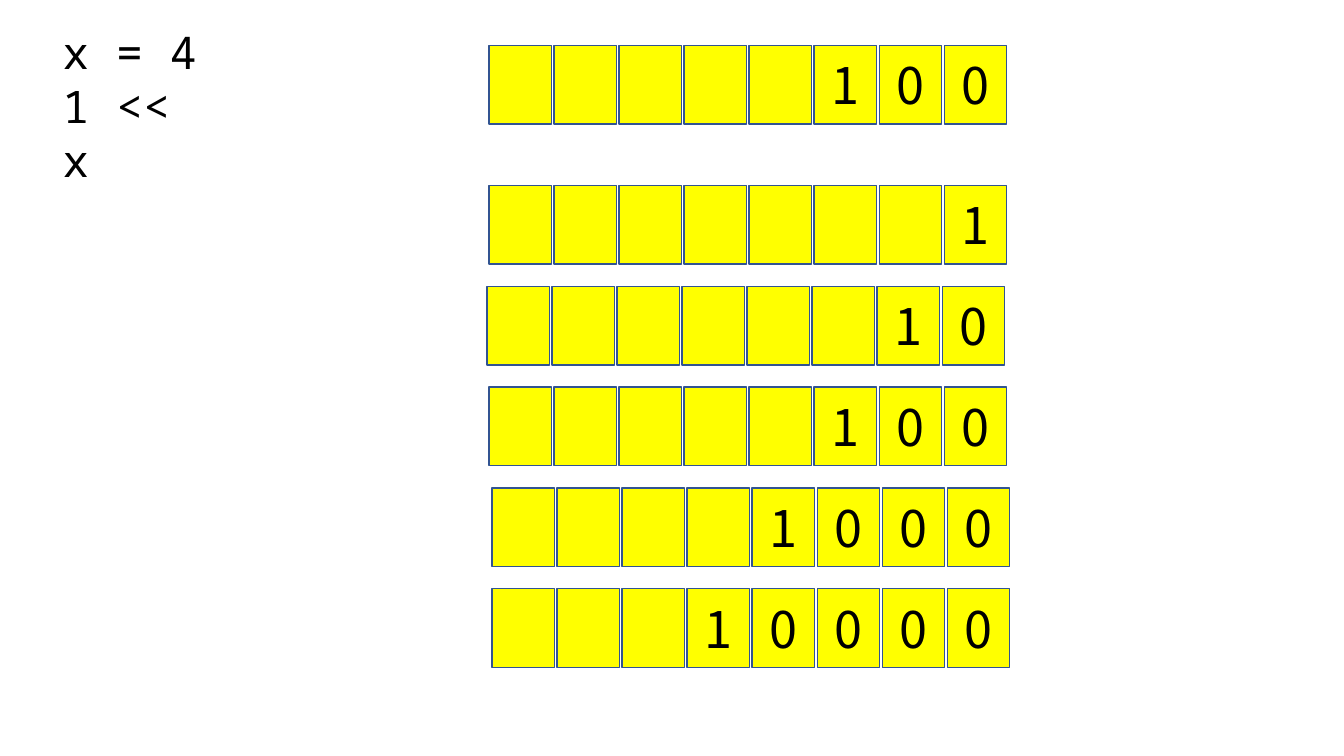
from dataclasses import dataclass

from pptx import Presentation
from pptx import util as u
from pptx.dml.color import RGBColor
from pptx.enum import shapes, text
from pptx.slide import Slide

YELLOW = RGBColor(0xFF, 0xFF, 0x00)
BLUE = RGBColor(0x32, 0x54, 0x91)
BLACK = RGBColor(0x00, 0x00, 0x00)
CODE_FONT = "Noto Sans Mono"
DIGIT_FONT = "Noto Sans CJK KR"

BITS = 8
COLUMN_PITCH = 0.645
CELL_WIDTH = 0.62
CELL_HEIGHT = 0.78
OPERAND_TOP = 0.45
SHIFTS_TOP = 1.84
ROW_PITCH = 1.0


@dataclass(frozen=True)
class Register:
    value: str
    left: float
    top: float


def shift_register(shift: int, left: float) -> Register:
    return Register("1" + "0" * shift, left, SHIFTS_TOP + shift * ROW_PITCH)


SHIFT_LEFTS = (4.85, 4.83, 4.85, 4.88, 4.88)
REGISTERS = [Register("100", 4.85, OPERAND_TOP)] + [
    shift_register(shift, left) for shift, left in enumerate(SHIFT_LEFTS)
]


def draw_code(slide: Slide, lines: list[str]) -> None:
    box = slide.shapes.add_textbox(
        u.Inches(0.52), u.Inches(0.2), u.Inches(1.68), u.Inches(1.18)
    )
    frame = box.text_frame
    frame.word_wrap = True
    frame.text = "\n".join(lines)
    for paragraph in frame.paragraphs:
        paragraph.font.name = CODE_FONT
        paragraph.font.size = u.Pt(32)
        paragraph.font.color.rgb = BLACK


def draw_cell(slide: Slide, digit: str, left: float, top: float) -> None:
    cell = slide.shapes.add_shape(
        shapes.MSO_SHAPE.RECTANGLE,
        u.Inches(left), u.Inches(top), u.Inches(CELL_WIDTH), u.Inches(CELL_HEIGHT),
    )
    cell.shadow.inherit = False
    cell.fill.solid()
    cell.fill.fore_color.rgb = YELLOW
    cell.line.color.rgb = BLUE
    cell.line.width = u.Pt(1)
    if digit.strip():
        frame = cell.text_frame
        frame.text = digit
        frame.vertical_anchor = text.MSO_ANCHOR.MIDDLE
        paragraph = frame.paragraphs[0]
        paragraph.alignment = text.PP_ALIGN.CENTER
        paragraph.font.name = DIGIT_FONT
        paragraph.font.size = u.Pt(36)
        paragraph.font.color.rgb = BLACK


def draw_register(slide: Slide, register: Register) -> None:
    for column, digit in enumerate(register.value.rjust(BITS)):
        draw_cell(slide, digit, register.left + column * COLUMN_PITCH, register.top)


def main() -> None:
    presentation = Presentation()
    presentation.slide_width = u.Inches(13.33)
    presentation.slide_height = u.Inches(7.5)
    slide = presentation.slides.add_slide(presentation.slide_layouts[6])
    draw_code(slide, ["x = 4", "1 << x"])
    for register in REGISTERS:
        draw_register(slide, register)
    presentation.save("out.pptx")


if __name__ == "__main__":
    main()
